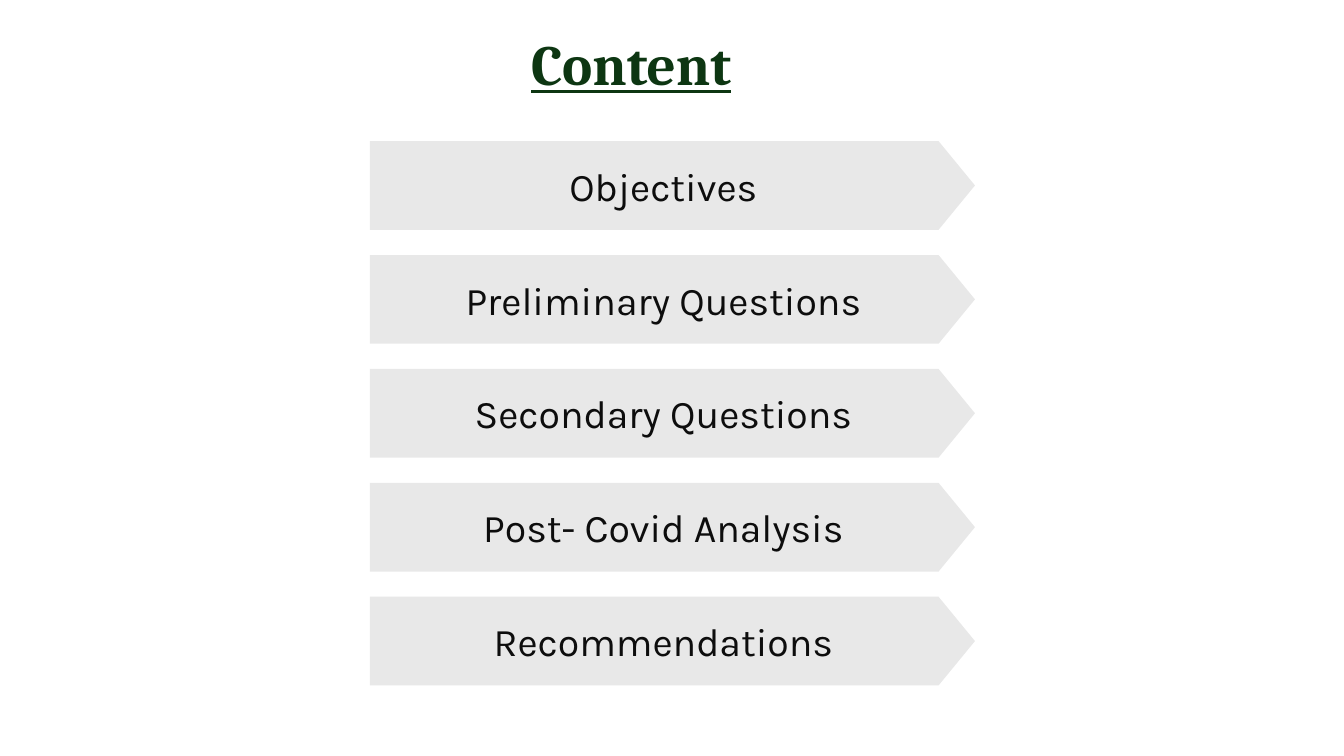
from pptx import Presentation
from pptx.dml.color import RGBColor
from pptx.enum.shapes import MSO_SHAPE as Shape
from pptx.enum.text import MSO_ANCHOR as Anchor, PP_ALIGN as Align
from pptx.util import Inches, Pt

WHITE = RGBColor(0xFF, 0xFF, 0xFF)
GREEN = RGBColor(0x0D, 0x36, 0x12)
GREY = RGBColor(0xE8, 0xE8, 0xE8)
INK = RGBColor(0x0D, 0x0D, 0x0D)

TOPICS = [
    "Objectives",
    "Preliminary Questions",
    "Secondary Questions",
    "Post- Covid Analysis",
    "Recommendations",
]
FIRST_TOP = 1.4
PITCH = 1.13


class ContentSlide:
    title_font = "Cambria"
    topic_font = "Karla"

    def __init__(self, deck):
        self.page = deck.slides.add_slide(deck.slide_layouts[6])
        fill = self.page.background.fill
        fill.solid()
        fill.fore_color.rgb = WHITE

    def add_text(self, box, text, anchor, font, size, color):
        frame = box.text_frame
        frame.word_wrap = True
        frame.vertical_anchor = anchor
        para = frame.paragraphs[0]
        para.alignment = Align.CENTER
        span = para.add_run()
        span.text = text
        span.font.name = font
        span.font.size = Pt(size)
        span.font.color.rgb = color
        return para, span

    def add_title(self, text, left, top, width, height):
        box = self.page.shapes.add_textbox(
            Inches(left), Inches(top), Inches(width), Inches(height))
        para, span = self.add_text(
            box, text, Anchor.TOP, self.title_font, 40.7, GREEN)
        para.line_spacing = 0.7
        span.font.bold = True
        span.font.underline = True

    def add_topic(self, text, left, top, width, height):
        arrow = self.page.shapes.add_shape(
            Shape.PENTAGON,
            Inches(left), Inches(top), Inches(width), Inches(height))
        arrow.adjustments[0] = 0.41
        arrow.shadow.inherit = False
        arrow.fill.solid()
        arrow.fill.fore_color.rgb = GREY
        arrow.line.fill.background()
        self.add_text(arrow, text, Anchor.MIDDLE, self.topic_font, 28, INK)


def main():
    deck = Presentation()
    deck.slide_width = Inches(13.33)
    deck.slide_height = Inches(7.5)
    content = ContentSlide(deck)
    for index, topic in enumerate(TOPICS):
        content.add_topic(topic, 3.67, FIRST_TOP + index * PITCH, 6, 0.88)
    content.add_title("Content", 1.59, 0.42, 9.34, 1.17)
    deck.save("out.pptx")


if __name__ == "__main__":
    main()
